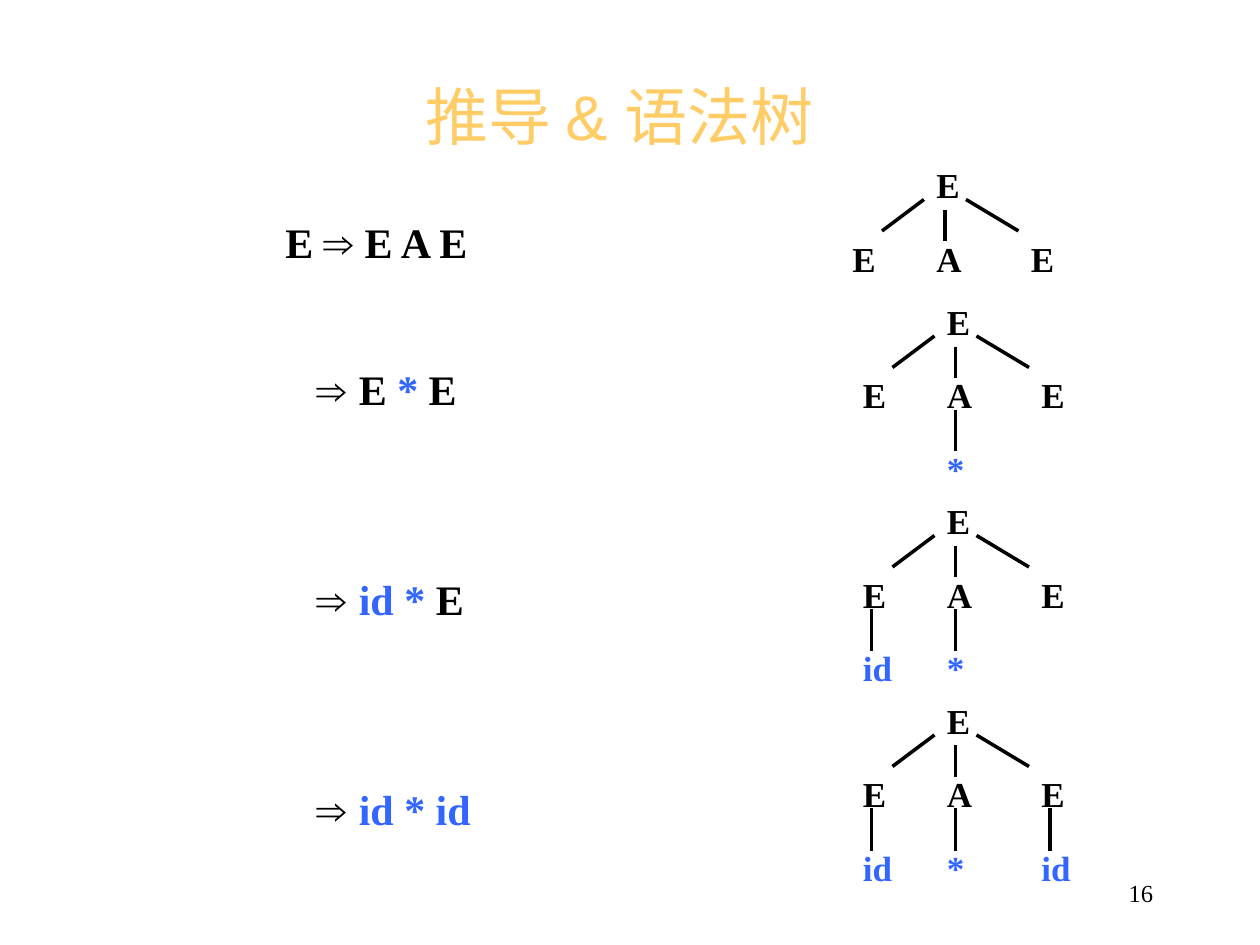
"""Build a slide pairing each derivation step with its growing syntax tree."""
from lxml.etree import SubElement
from pptx import Presentation
from pptx.dml.color import RGBColor
from pptx.enum.shapes import MSO_CONNECTOR
from pptx.enum.text import MSO_ANCHOR, PP_ALIGN
from pptx.oxml.ns import qn
from pptx.util import Inches, Pt

BLACK, BLUE, GOLD = "000000", "3366FF", "FFCC66"
SERIF, SANS = "Times New Roman", "Arial"

deck = Presentation()
deck.slide_width, deck.slide_height = Inches(10), Inches(7.5)
slide = deck.slides.add_slide(deck.slide_layouts[6])
cell = deck.slide_width / 120


def write(shapes, box, runs, size, bold=True, align=PP_ALIGN.LEFT,
          anchor=MSO_ANCHOR.TOP, indent=0):
    frame = shapes.add_textbox(*(round(n * cell) for n in box)).text_frame
    frame.word_wrap = True
    frame.vertical_anchor = anchor
    paragraph = frame.paragraphs[0]
    paragraph.alignment = align
    if indent:
        paragraph._p.get_or_add_pPr().set("marL", str(round(indent * cell)))
    paragraph.font.size, paragraph.font.bold = Pt(size), bold
    for words, face, color in runs:
        font = paragraph.font if len(runs) == 1 else None
        run = paragraph.add_run()
        run.text = words
        font = font or run.font
        font.name = face
        font.color.rgb = RGBColor.from_string(color)


def branch(shapes, *ends):
    edge = shapes.add_connector(MSO_CONNECTOR.STRAIGHT, *(round(n * cell) for n in ends))
    edge.line.width = Pt(2)
    edge.line.color.rgb = RGBColor.from_string(BLACK)
    SubElement(edge._element.spPr, qn("a:effectLst"))


write(slide.shapes, (86, 82, 25, 6), [("16", SERIF, BLACK)], 14, False,
      PP_ALIGN.RIGHT, MSO_ANCHOR.MIDDLE)
write(slide.shapes, (9, 8, 100, 6), [("推导 & 语法树", SANS, GOLD)], 36, False,
      PP_ALIGN.CENTER, MSO_ANCHOR.MIDDLE)

children = [(0, "E"), (8, "A"), (17, "E")]
trees = [
    (80, 15, ["", "", ""]),
    (81, 28, ["", "*", ""]),
    (81, 47, ["id", "*", ""]),
    (81, 66, ["id", "*", "id"]),
]
for left, top, leaves in trees:
    tree = slide.shapes.add_group_shape().shapes
    write(tree, (left + 8, top, 7, 5.25), [("E", SERIF, BLACK)], 20)
    for x1, y1, x2, y2 in [(4, 7, 8, 4), (10, 5, 10, 8), (12, 4, 17, 7)]:
        branch(tree, left + x1, top + y1, left + x2, top + y2)
    for (column, symbol), leaf in zip(children, leaves):
        x = left + column
        write(tree, (x, top + 7, 7, 5.25), [(symbol, SERIF, BLACK)], 20)
        if leaf:
            branch(tree, x + 2, top + 11, x + 2, top + 15)
            write(tree, (x, top + 14, 6, 5.25), [(leaf, SERIF, BLUE)], 20)

arrow = ("⇒ ", SANS, BLACK)
steps = [
    (20, 0, [("E ", SERIF, BLACK), ("⇒", SANS, BLACK), (" E A E", SERIF, BLACK)]),
    (34, 3, [arrow, ("E ", SERIF, BLACK), ("*", SERIF, BLUE), (" E", SERIF, BLACK)]),
    (54, 3, [arrow, ("id *", SERIF, BLUE), (" E", SERIF, BLACK)]),
    (74, 3, [arrow, ("id * id", SERIF, BLUE)]),
]
for top, indent, runs in steps:
    write(slide.shapes, (26, top, 27, 6), runs, 24, indent=indent)

deck.save("out.pptx")
